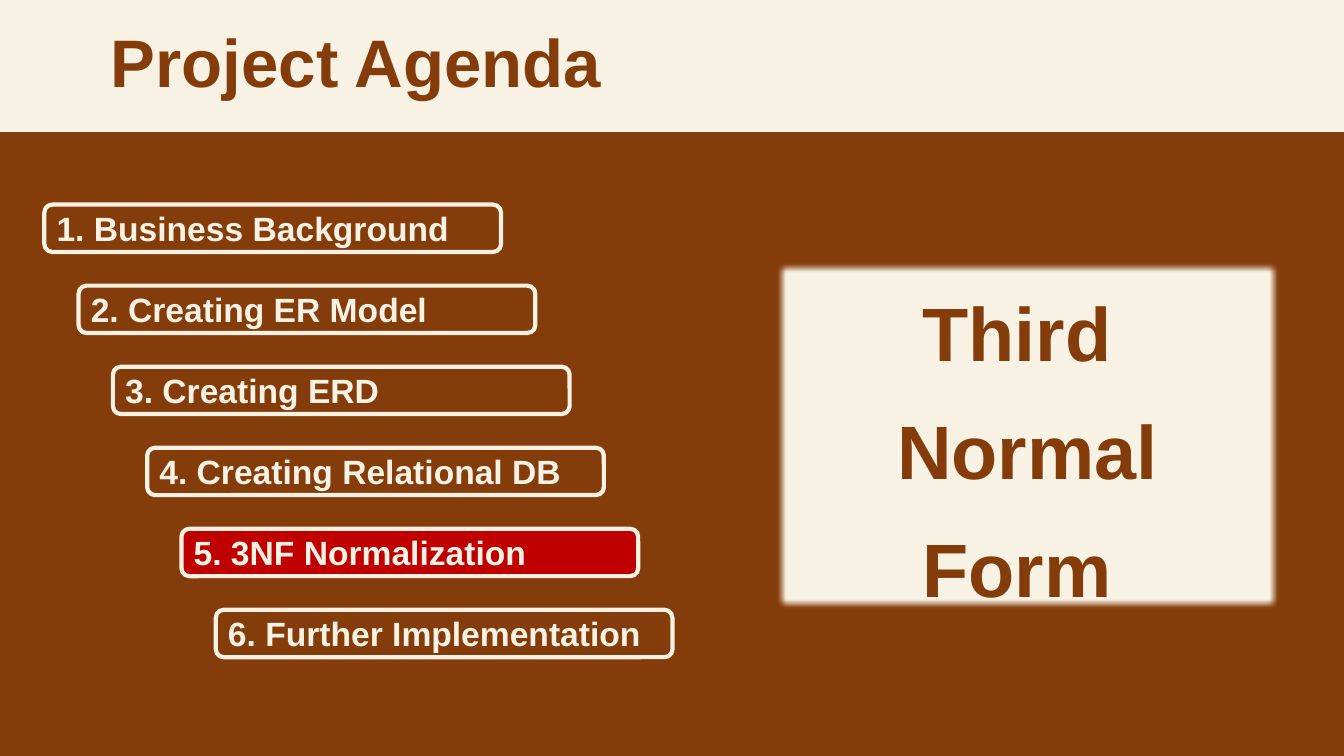
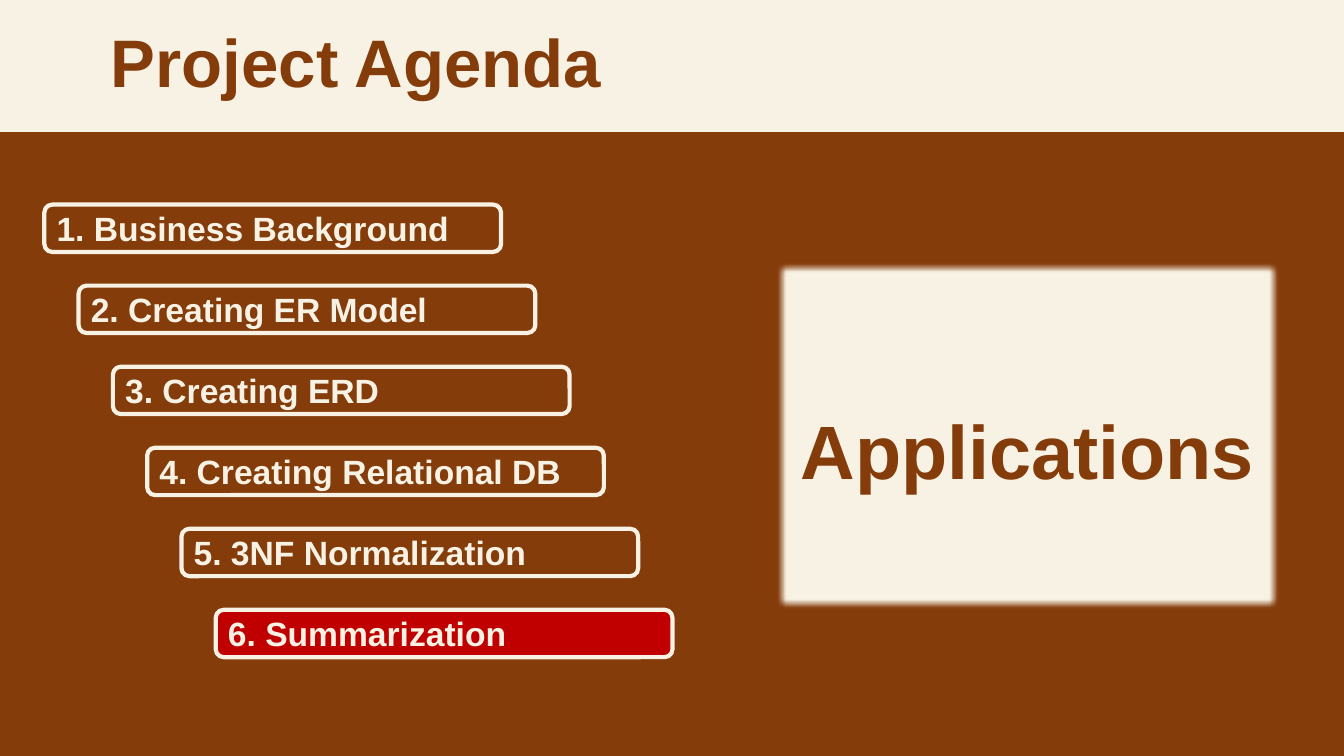
from lxml import etree
from pptx import Presentation
from pptx.dml.color import RGBColor
from pptx.enum.shapes import MSO_SHAPE
from pptx.enum.text import MSO_ANCHOR, PP_ALIGN
from pptx.oxml.ns import qn
from pptx.util import Inches, Pt

RECTANGLE = MSO_SHAPE.RECTANGLE
ROUNDED = MSO_SHAPE.ROUNDED_RECTANGLE
MIDDLE = MSO_ANCHOR.MIDDLE
LEFT, CENTER = PP_ALIGN.LEFT, PP_ALIGN.CENTER

WIDTH, HEIGHT = 13.33, 7.5
FONT = "Arial"
BROWN, CREAM, RED = "843C0B", "F8F2E4", "C00000"
BLANK_LAYOUT = 6

STEP_LEFT, STEP_SHIFT = 0.44, 0.34
STEP_TOP, STEP_LAST_TOP = 2.03, 6.05
STEP_WIDTH, STEP_HEIGHT = 4.53, 0.47
CARD = (7.68, 2.58, 5.02, 3.48)
SOFT_EDGE = Pt(5)

STEPS = [
    "Business Background",
    "Creating ER Model",
    "Creating ERD",
    "Creating Relational DB",
    "3NF Normalization",
]


def color(value):
    return RGBColor.from_string(value)


def add_box(page, kind, area, fill=None, line=None, line_width=1):
    box = page.shapes.add_shape(kind, *(Inches(length) for length in area))
    box.shadow.inherit = False
    if fill:
        box.fill.solid()
        box.fill.fore_color.rgb = color(fill)
    else:
        box.fill.background()
    if line:
        box.line.color.rgb = color(line)
        box.line.width = Pt(line_width)
    else:
        box.line.fill.background()
    return box


def write(box, text, size, ink, align=LEFT, spacing=1.0):
    frame = box.text_frame
    frame.word_wrap = True
    frame.vertical_anchor = MIDDLE
    frame.text = text
    for para in frame.paragraphs:
        para.alignment = align
        para.line_spacing = spacing
        for span in para.runs:
            span.font.name = FONT
            span.font.size = Pt(size)
            span.font.bold = True
            span.font.color.rgb = color(ink)


def soften_edges(box, radius):
    effects = box._element.spPr.find(qn("a:effectLst"))
    etree.SubElement(effects, qn("a:softEdge")).set("rad", str(int(radius)))


def add_title_band(page, title):
    band = add_box(page, RECTANGLE, (0, 0, WIDTH, 1.31), fill=CREAM)
    band.text_frame.margin_left = Inches(1.1)
    write(band, title, 48, BROWN, spacing=0.9)


def add_staircase(page, steps, current):
    rise = (STEP_LAST_TOP - STEP_TOP) / (len(steps) - 1)
    for index, step in enumerate(steps):
        area = (STEP_LEFT + index * STEP_SHIFT, STEP_TOP + index * rise,
                STEP_WIDTH, STEP_HEIGHT)
        fill = RED if index + 1 == current else None
        box = add_box(page, ROUNDED, area, fill, CREAM, 3)
        write(box, f"{index + 1}. {step}", 24, CREAM)


def add_topic_card(page, topic):
    card = add_box(page, RECTANGLE, CARD, CREAM, BROWN)
    soften_edges(card, SOFT_EDGE)
    write(card, topic, 54, BROWN, CENTER, 1.3)


def add_agenda(deck, last_step, current, topic):
    page = deck.slides.add_slide(deck.slide_layouts[BLANK_LAYOUT])
    add_title_band(page, "Project Agenda")
    add_staircase(page, STEPS + [last_step], current)
    add_topic_card(page, topic)


def main():
    deck = Presentation()
    deck.slide_width, deck.slide_height = Inches(WIDTH), Inches(HEIGHT)
    backdrop = deck.slide_master.background.fill
    backdrop.solid()
    backdrop.fore_color.rgb = color(BROWN)
    add_agenda(deck, "Further Implementation", 5, "Third \nNormal\nForm ")
    add_agenda(deck, "Summarization", 6, "Applications")
    deck.save("out.pptx")


if __name__ == "__main__":
    main()
